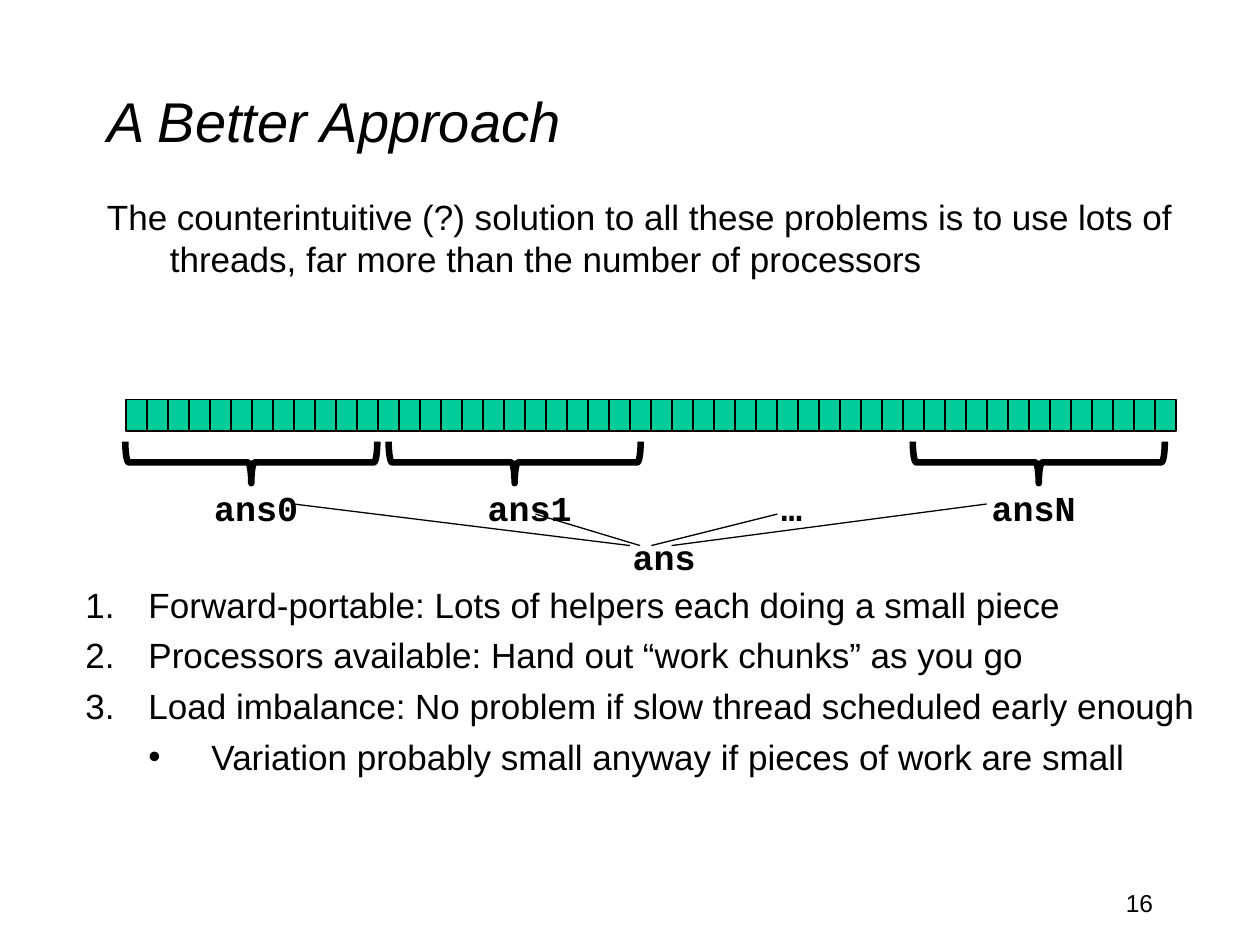
from lxml import etree
from pptx import Presentation
from pptx.dml.color import RGBColor
from pptx.enum import shapes, text
from pptx.oxml import ns
from pptx.util import Inches, Pt

C = {"ink": "000000", "cell": "00CC99"}
INK = RGBColor.from_string(C["ink"])


def write(sp, lines, align=text.PP_ALIGN.LEFT, before=0, **fmt):
    tf = sp.text_frame
    tf.word_wrap = True
    for i, line in enumerate(lines):
        p = tf.paragraphs[0] if i == 0 else tf.add_paragraph()
        p.alignment = align
        p.space_before = Pt(before)
        r = p.add_run()
        r.text = line
        r.font.color.rgb = INK
        for key, value in fmt.items():
            setattr(r.font, key, value)
    return tf


def indent(p, left, hanging, bullet=None, **attrs):
    pPr = p._p.get_or_add_pPr()
    pPr.set("marL", str(Inches(left)))
    pPr.set("indent", str(-Inches(hanging)))
    if bullet:
        font = etree.SubElement(pPr, ns.qn("a:buFont"))
        font.set("typeface", "Arial")
        bu = etree.SubElement(pPr, ns.qn(bullet))
        for key, value in attrs.items():
            bu.set(key, value)


prs = Presentation()
prs.slide_width, prs.slide_height = Inches(10), Inches(7.5)
s = prs.slides.add_slide(prs.slide_layouts[5])

title = s.shapes.title
title.left, title.top, title.width, title.height = map(Inches, (0.75, 0.33, 8.5, 1.25))
tf = write(title, ["A Better Approach"], size=Pt(32), name="Arial", italic=True)
tf.vertical_anchor = text.MSO_ANCHOR.MIDDLE

intro = s.shapes.add_textbox(*map(Inches, (0.75, 1.5, 8.75, 1.33)))
tf = write(intro, ["The counterintuitive (?) solution to all these problems is to use "
                   "lots of threads, far more than the number of processors"],
           before=4, size=Pt(20), name="Arial")
indent(tf.paragraphs[0], 0.5, 0.5)

number = s.shapes.add_textbox(*map(Inches, (7.17, 7, 2.08, 0.5)))
write(number, ["16"], align=text.PP_ALIGN.RIGHT, size=Pt(14), name="Arial")

for i in range(50):
    cell = s.shapes.add_shape(shapes.MSO_SHAPE.RECTANGLE, Inches(1 + i / 6), Inches(3.17),
                              Inches(1 / 6), Inches(0.25))
    cell.shadow.inherit = False
    cell.fill.solid()
    cell.fill.fore_color.rgb = RGBColor.from_string(C["cell"])
    cell.line.color.rgb = INK
    cell.line.width = Pt(0.75)

for left in (1.83, 3.92, 8.08):
    brace = s.shapes.add_shape(shapes.MSO_SHAPE.LEFT_BRACE,
                               *map(Inches, (left, 2.67, 0.33, 2)))
    brace.rotation = 270
    brace.shadow.inherit = False
    brace.fill.background()
    brace.line.color.rgb = INK
    brace.line.width = Pt(3.75)

for label, left, top in (("ans0", 1.7, 3.86), ("ans1", 3.87, 3.86), ("…", 6.2, 3.86),
                         ("ansN", 7.87, 3.86), ("ans", 5.02, 4.25)):
    sp = s.shapes.add_textbox(*map(Inches, (left, top, 0.75, 0.32)))
    tf = write(sp, [label], size=Pt(20), name="Courier New", bold=True)
    for side in ("left", "right", "top", "bottom"):
        setattr(tf, "margin_" + side, 0)

for x1, y1, x2 in ((2.33, 4, 5), (4.25, 4.08, 5.08), (6.17, 4.08, 5.17), (7.83, 4, 5.33)):
    line = s.shapes.add_connector(shapes.MSO_CONNECTOR.STRAIGHT,
                                  *map(Inches, (x1, y1, x2, 4.33)))
    line.line.color.rgb = INK
    line.line.width = Pt(0.75)
    etree.SubElement(line._element.spPr, ns.qn("a:effectLst"))

benefits = s.shapes.add_textbox(*map(Inches, (0.58, 4.58, 9.08, 2.33)))
tf = write(benefits, ["Forward-portable: Lots of helpers each doing a small piece",
                      "Processors available: Hand out “work chunks” as you go",
                      "Load imbalance: No problem if slow thread scheduled early enough",
                      "Variation probably small anyway if pieces of work are small"],
           before=5, size=Pt(20), name="Arial")
*numbered, detail = tf.paragraphs
for p in numbered:
    indent(p, 0.5, 0.5, "a:buAutoNum", type="arabicPeriod")
detail.level = 1
indent(detail, 1, 0.5, "a:buChar", char="•")

prs.save("out.pptx")
